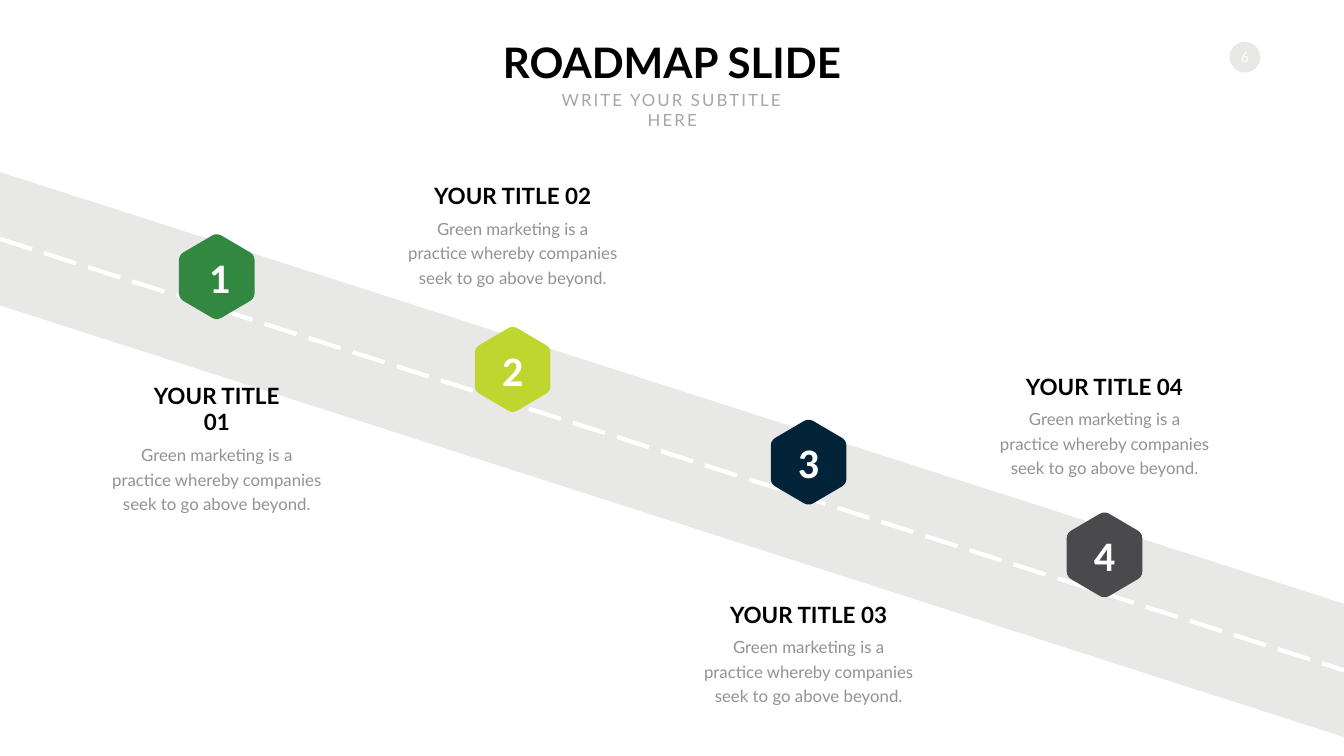
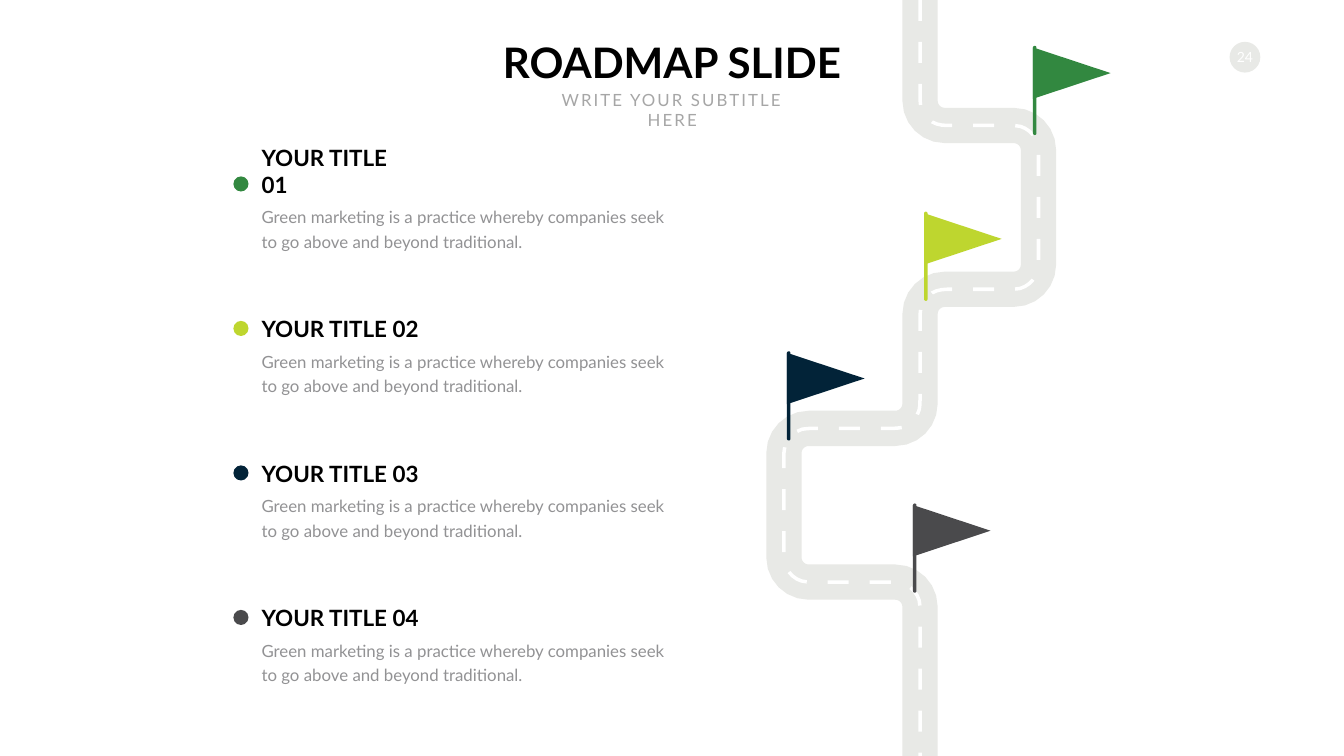
import math

from pptx import Presentation
from pptx.dml.color import RGBColor
from pptx.enum.dml import MSO_LINE
from pptx.enum.shapes import MSO_CONNECTOR, MSO_SHAPE
from pptx.enum.text import MSO_ANCHOR, MSO_AUTO_SIZE, PP_ALIGN
from pptx.oxml.ns import qn
from pptx.util import Pt

PX = 9144  # one hundredth of an inch
SLIDE_W, SLIDE_H = 2666, 1500

BLACK = RGBColor(0x00, 0x00, 0x00)
WHITE = RGBColor(0xFF, 0xFF, 0xFF)
ROAD_GREY = RGBColor(0xE8, 0xE9, 0xE6)
SUBTITLE_GREY = RGBColor(0xA6, 0xA6, 0xA6)
BODY_GREY = RGBColor(0x92, 0x92, 0x94)
STEP_COLOURS = (
    RGBColor(0x32, 0x88, 0x40),
    RGBColor(0xBE, 0xD6, 0x2F),
    RGBColor(0x02, 0x23, 0x38),
    RGBColor(0x4A, 0x4A, 0x4C),
)

LATO, CALIBRI = "Lato", "Calibri"
LEFT, CENTER = PP_ALIGN.LEFT, PP_ALIGN.CENTER
TOP, MIDDLE, BOTTOM = MSO_ANCHOR.TOP, MSO_ANCHOR.MIDDLE, MSO_ANCHOR.BOTTOM
FIT_SHAPE = MSO_AUTO_SIZE.SHAPE_TO_FIT_TEXT
ELLIPSE, PARALLELOGRAM = MSO_SHAPE.OVAL, MSO_SHAPE.PARALLELOGRAM
ROUNDED_RECTANGLE = MSO_SHAPE.ROUNDED_RECTANGLE
STRAIGHT = MSO_CONNECTOR.STRAIGHT
LONG_DASH = MSO_LINE.LONG_DASH

STEP_TITLES = [f"YOUR TITLE 0{number}" for number in range(1, 5)]
TITLE_WIDTHS = (323, 334, 334, 337)
TITLE_H = 64
SHORT_BODY = "Green marketing is a practice whereby companies seek to go above beyond."
LONG_BODY = ("Green marketing is a practice whereby companies seek "
             "to go above and beyond traditional.")

ROAD_BENDS = [(1825, 0), (1825, 249), (2060, 249), (2060, 574), (1825, 574),
              (1825, 850), (1555, 850), (1555, 1155), (1825, 1155), (1825, SLIDE_H)]
BEND_RADIUS, ROAD_HALF_WIDTH = 49, 35
DASH_LENGTH, DASH_PERIOD, DASH_HALF_WIDTH = 41.67, 83.33, 3.5


def emu(*lengths):
    return [round(length * PX) for length in lengths]


def paint(shape, colour):
    shape.shadow.inherit = False
    shape.fill.solid()
    shape.fill.fore_color.rgb = colour
    shape.line.fill.background()
    return shape


def add_preset(slide, preset, box, colour):
    return paint(slide.shapes.add_shape(preset, *emu(*box)), colour)


def add_outline(slide, contours, colour):
    """Fill one freeform made of closed contours."""
    scaled = [[emu(*point) for point in contour] for contour in contours]
    builder = slide.shapes.build_freeform(*scaled[0][0], scale=1.0)
    for index, contour in enumerate(scaled):
        if index:
            builder.move_to(*contour[0])
        builder.add_line_segments(contour[1:], close=True)
    return paint(builder.convert_to_shape(), colour)


def write(paragraph, text, size, colour, font=LATO, bold=False, spacing=0):
    run = paragraph.add_run()
    run.text = text
    run.font.name = font
    run.font.size = Pt(size)
    run.font.bold = bold
    run.font.color.rgb = colour
    if spacing:
        run._r.get_or_add_rPr().set("spc", str(spacing * 100))


def add_text(slide, box, text, size, colour, align=CENTER, anchor=TOP,
             line_height=None, **style):
    frame = slide.shapes.add_textbox(*emu(*box)).text_frame
    frame.word_wrap = True
    frame.auto_size = FIT_SHAPE
    frame.vertical_anchor = anchor
    paragraph = frame.paragraphs[0]
    paragraph.alignment = align
    if line_height:
        paragraph.line_spacing = Pt(line_height)
    write(paragraph, text, size, colour, **style)


def add_header(slide, number):
    badge = add_preset(slide, ELLIPSE, (2439, 83, 61, 61), ROAD_GREY)
    frame = badge.text_frame
    frame.margin_left = frame.margin_right = 0
    frame.margin_top = frame.margin_bottom = 0
    frame.vertical_anchor = MIDDLE
    frame.paragraphs[0].alignment = CENTER
    write(frame.paragraphs[0], number, 20, WHITE)
    add_text(slide, (984, 67, 698, 111), "ROADMAP SLIDE", 60, BLACK, bold=True)
    add_text(slide, (1062, 173, 543, 50), "WRITE YOUR SUBTITLE HERE", 24,
             SUBTITLE_GREY, spacing=3)


def add_step_text(slide, step, box, body, align):
    """Place the body in the box and its title directly above."""
    left, top, width, height = box
    title_w = TITLE_WIDTHS[step]
    title_left = left + (width - title_w) / 2 if align == CENTER else left
    add_text(slide, box, body, 24, BODY_GREY, align, line_height=35)
    add_text(slide, (title_left, top - TITLE_H, title_w, TITLE_H),
             STEP_TITLES[step], 32, BLACK, align, BOTTOM, bold=True)


def direction(start, end):
    dx, dy = end[0] - start[0], end[1] - start[1]
    length = math.hypot(dx, dy)
    return dx / length, dy / length


def round_corner(before, corner, after, tangent, steps):
    """Return points on an arc that starts and ends tangent px from the corner."""
    back, ahead = direction(corner, before), direction(corner, after)
    turn = math.pi - math.acos(back[0] * ahead[0] + back[1] * ahead[1])
    handle = 4 / 3 * math.tan(turn / 4) * tangent / math.tan(turn / 2)
    near = tangent - handle
    controls = [[corner[axis] + side[axis] * reach for axis in (0, 1)]
                for side, reach in ((back, tangent), (back, near),
                                    (ahead, near), (ahead, tangent))]
    points = []
    for step in range(steps + 1):
        t = step / steps
        weights = ((1 - t) ** 3, 3 * t * (1 - t) ** 2, 3 * t * t * (1 - t), t ** 3)
        points.append(tuple(sum(weight * control[axis] for weight, control
                                in zip(weights, controls)) for axis in (0, 1)))
    return points


def road_line(offset):
    """Return the rounded road course, shifted sideways by offset px."""
    headings = [direction(*leg) for leg in zip(ROAD_BENDS, ROAD_BENDS[1:])]
    normals = [(-dy * offset, dx * offset) for dx, dy in headings]
    shifted = [(ROAD_BENDS[0][0] + normals[0][0], ROAD_BENDS[0][1])]
    for (x, y), before, after in zip(ROAD_BENDS[1:], normals, normals[1:]):
        shifted.append((x + before[0] + after[0], y + before[1] + after[1]))
    shifted.append((ROAD_BENDS[-1][0] + normals[-1][0], ROAD_BENDS[-1][1]))

    line = [shifted[0]]
    for index, (before, after) in enumerate(zip(headings, headings[1:])):
        turn = before[0] * after[1] - before[1] * after[0]
        line += round_corner(*shifted[index:index + 3],
                             BEND_RADIUS - offset * turn, steps=6)
    return line + [shifted[-1]]


def point_along(line, distance):
    """Return the point at a distance along the line, and the heading there."""
    for start, end in zip(line, line[1:]):
        length = math.dist(start, end)
        if distance <= length:
            break
        distance -= length
    distance = min(distance, length)
    dx, dy = direction(start, end)
    return (start[0] + dx * distance, start[1] + dy * distance), (dx, dy)


def road_dashes():
    line = road_line(0)
    total = sum(math.dist(*leg) for leg in zip(line, line[1:]))
    dashes = []
    for index in range(math.ceil(total / DASH_PERIOD)):
        start = index * DASH_PERIOD
        length = min(DASH_LENGTH, total - start)
        headings = [point_along(line, end)[1] for end in (start, start + length)]
        steps = 1 if math.dist(*headings) < 0.01 else 4
        one_side, other_side = [], []
        for step in range(steps + 1):
            (x, y), (dx, dy) = point_along(line, start + length * step / steps)
            across, down = -dy * DASH_HALF_WIDTH, dx * DASH_HALF_WIDTH
            one_side.append((x + across, y + down))
            other_side.append((x - across, y - down))
        dashes.append(one_side + other_side[::-1])
    return dashes


def add_straight_road(slide):
    road = add_preset(slide, PARALLELOGRAM, (773, -431, 1121, SLIDE_W), ROAD_GREY)
    road.adjustments[0] = 0.764
    road.rotation = 270
    centre_line = slide.shapes.add_connector(STRAIGHT, *emu(0, 474, SLIDE_W, 1330))
    centre_line.line.color.rgb = WHITE
    centre_line.line.width = Pt(6)
    centre_line.line.dash_style = LONG_DASH
    properties = centre_line._element.spPr
    properties.append(properties.makeelement(qn("a:effectLst"), {}))


def add_hexagon(slide, step, centre_x, centre_y):
    corners = [(centre_x + dx, centre_y + dy) for dx, dy in
               ((0, -87), (75, -43), (75, 43), (0, 87), (-75, 43), (-75, -43))]
    outline = []
    for index, corner in enumerate(corners):
        outline += round_corner(corners[index - 1], corner,
                                corners[(index + 1) % 6], 10, steps=3)
    add_outline(slide, [outline], STEP_COLOURS[step])


def add_digit(slide, step, centre_x, centre_y, width):
    add_text(slide, (centre_x - width / 2, centre_y - 55, width, 111),
             str(step + 1), 60, WHITE, font=CALIBRI, bold=True)


def add_flag(slide, left, top, colour):
    cloth = [(left, top + 3), (left, top + 105), (left + 154, top + 54)]
    add_outline(slide, [cloth], colour)
    pole = add_preset(slide, ROUNDED_RECTANGLE, (left, top, 7, 177), colour)
    pole.adjustments[0] = 0.5


def build_straight_roadmap(slide):
    add_straight_road(slide)
    add_header(slide, "6")
    centres = [(430 + 587 * step, 549 + 184 * step) for step in range(4)]
    for step, centre in enumerate(centres):
        add_hexagon(slide, step, *centre)
    for step, digit_w in enumerate((51, 69, 71, 76)):
        add_digit(slide, step, *centres[step], digit_w)
    body_w = 438
    for step, body_top in enumerate((869, 420, 1250, 798)):
        box = (centres[step][0] - body_w / 2, body_top, body_w, 152)
        add_step_text(slide, step, box, SHORT_BODY, CENTER)


def build_winding_roadmap(slide):
    add_header(slide, "24")
    road = road_line(ROAD_HALF_WIDTH) + road_line(-ROAD_HALF_WIDTH)[::-1]
    add_outline(slide, [road], ROAD_GREY)
    add_outline(slide, road_dashes(), WHITE)
    flags = ((2049, 91), (1833, 420), (1561, 697), (1811, 999))
    for flag, colour in zip(flags, STEP_COLOURS):
        add_flag(slide, *flag, colour)
    for step, colour in enumerate(STEP_COLOURS):
        row_top = 350 + 286.7 * step
        add_step_text(slide, step, (509, row_top + 47, 852, 103), LONG_BODY, LEFT)
        add_preset(slide, ELLIPSE, (463, row_top, 30, 30), colour)


def main():
    deck = Presentation()
    deck.slide_width, deck.slide_height = emu(SLIDE_W, SLIDE_H)
    blank = deck.slide_layouts[6]
    for build in (build_straight_roadmap, build_winding_roadmap):
        build(deck.slides.add_slide(blank))
    deck.save("out.pptx")


if __name__ == "__main__":
    main()
